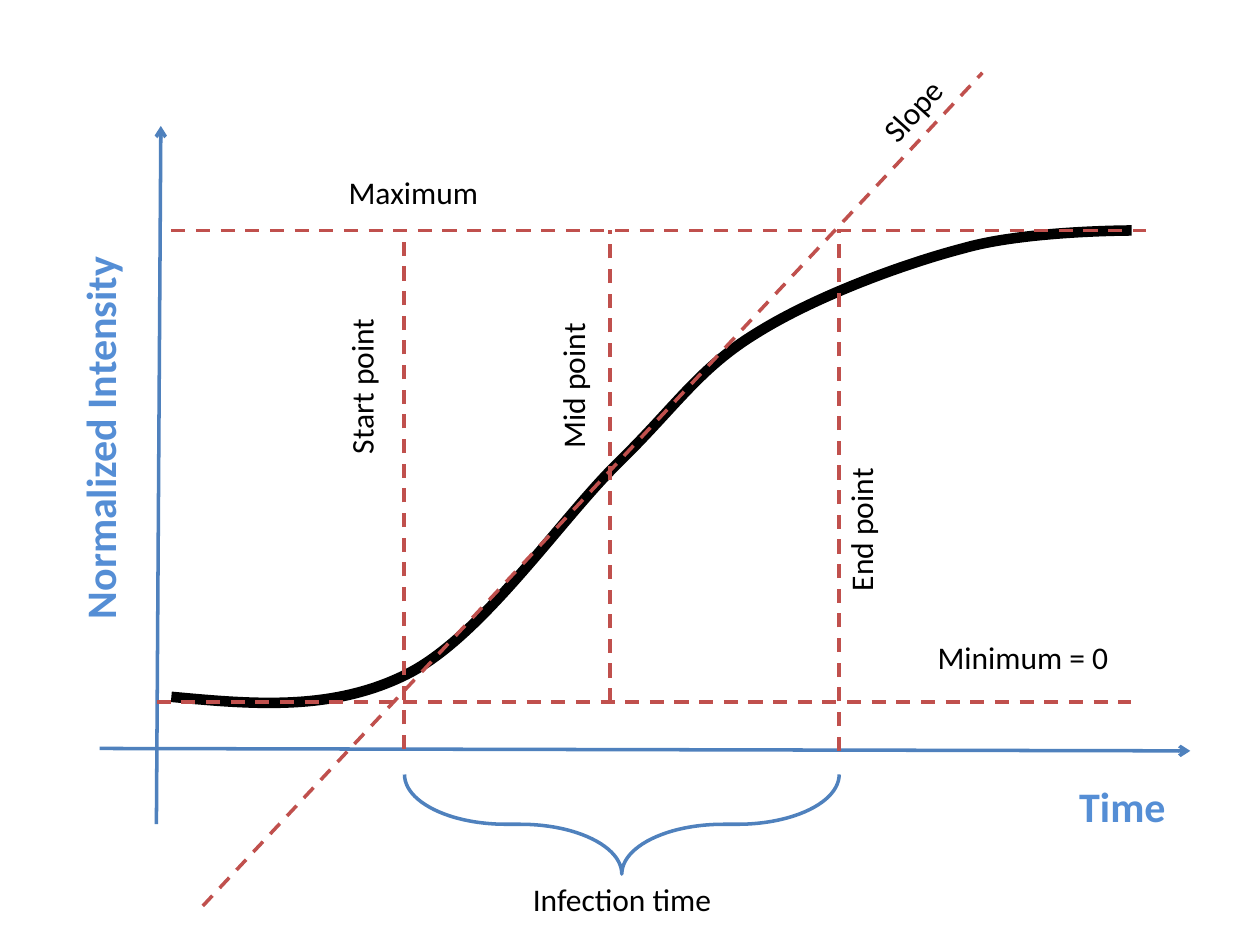
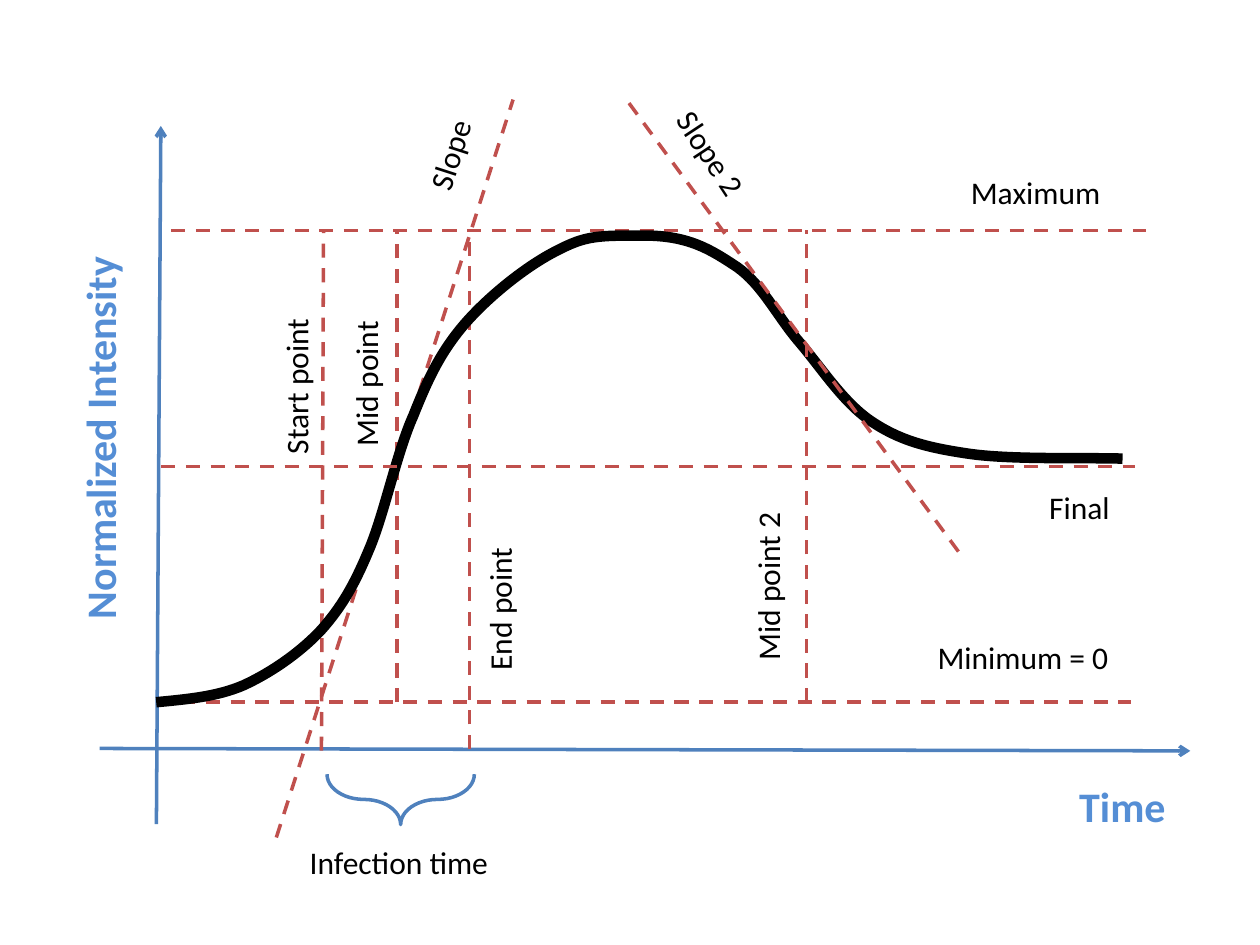
from dataclasses import dataclass

from lxml import etree
from pptx import Presentation
from pptx.dml.color import RGBColor
from pptx.enum.dml import MSO_LINE
from pptx.enum.shapes import MSO_CONNECTOR, MSO_SHAPE
from pptx.enum.text import MSO_AUTO_SIZE
from pptx.oxml.ns import qn
from pptx.shapes.shapetree import GroupShapes
from pptx.util import Pt

DASH = MSO_LINE.DASH
BRACE = MSO_SHAPE.LEFT_BRACE
STRAIGHT = MSO_CONNECTOR.STRAIGHT
GROW = MSO_AUTO_SIZE.SHAPE_TO_FIT_TEXT

INK = {"axis": "4F81BD", "guide": "C0504D", "name": "558ED5", "text": "000000"}
FONT = "Calibri"
BLANK = 6
TOP, BASE, AXIS = 131.7, 401.3, 428
UP = 270

Point = tuple[float, float]


@dataclass(frozen=True)
class Line:
    start: Point
    end: Point
    ink: str = "guide"
    arrow: bool = False


@dataclass(frozen=True)
class Label:
    text: str
    left: float
    top: float
    width: float
    turn: float = 0
    big: bool = False


@dataclass(frozen=True)
class Brace:
    left: float
    top: float
    width: float
    height: float


@dataclass(frozen=True)
class Curve:
    points: list[Point]
    height: float


Part = Line | Label | Brace | Curve


def rgb(key: str) -> RGBColor:
    return RGBColor.from_string(INK[key])


def draw_line(shapes: GroupShapes, line: Line) -> None:
    ends = [Pt(n) for n in line.start + line.end]
    item = shapes.add_connector(STRAIGHT, *ends)
    item.line.color.rgb = rgb(line.ink)
    item.line.width = Pt(2)
    if line.arrow:
        tail = etree.SubElement(item.line._get_or_add_ln(), qn("a:tailEnd"))
        tail.set("type", "arrow")
    else:
        item.line.dash_style = DASH
    etree.SubElement(item._element.spPr, qn("a:effectLst"))


def draw_label(shapes: GroupShapes, label: Label) -> None:
    height = 36.3 if label.big else 29.1
    box = shapes.add_textbox(Pt(label.left), Pt(label.top), Pt(label.width), Pt(height))
    box.rotation = label.turn
    frame = box.text_frame
    frame.word_wrap = False
    frame.auto_size = GROW
    run = frame.paragraphs[0].add_run()
    run.text = label.text
    run.font.name = FONT
    run.font.size = Pt(24 if label.big else 18)
    run.font.bold = label.big
    run.font.color.rgb = rgb("name" if label.big else "text")


def draw_brace(shapes: GroupShapes, brace: Brace) -> None:
    box = [Pt(n) for n in (brace.left, brace.top, brace.width, brace.height)]
    item = shapes.add_shape(BRACE, *box)
    item.adjustments[0] = 1.02
    item.adjustments[1] = 0.5
    item.rotation = UP
    item.shadow.inherit = False
    item.fill.background()
    item.line.color.rgb = rgb("axis")
    item.line.width = Pt(2)


def draw_curve(shapes: GroupShapes, curve: Curve) -> None:
    first, *rest = [(Pt(x), Pt(y)) for x, y in curve.points]
    pen = shapes.build_freeform(*first)
    pen.add_line_segments(rest, close=False)
    item = pen.convert_to_shape()
    item.height = Pt(curve.height)
    track = next(item._element.iter(qn("a:path")))
    track.set("h", str(Pt(curve.height)))
    legs = track.findall(qn("a:lnTo"))
    for i in range(0, len(legs), 3):
        bend = etree.SubElement(track, qn("a:cubicBezTo"))
        for leg in legs[i:i + 3]:
            bend.append(leg[0])
            track.remove(leg)
    item.shadow.inherit = False
    item.fill.background()
    item.line.color.rgb = rgb("text")
    item.line.width = Pt(6)


DRAW = {Line: draw_line, Label: draw_label, Brace: draw_brace, Curve: draw_curve}


def post(x: float, foot: float = BASE, head: float = TOP) -> Line:
    return Line((x, foot), (x, head))


AXES = [
    Line((89.4, 470.9), (91.9, 72), "axis", True),
    Line((56.9, 427.7), (680.2, 429.1), "axis", True),
]
BOUNDS = [
    Line((89.6, BASE), (646.4, BASE)),
    Line((97.9, TOP), (655, TOP)),
]
NAMES = [
    Label("Minimum = 0", 528.7, 361, 113),
    Label("Normalized Intensity", -55.4, 230.4, 224.6, UP, True),
    Label("Time", 609.6, 442.3, 64.1, big=True),
]

RISE = Curve([
    (97.9, 398.2), (144.7, 402.5), (190.8, 406.8), (234, 384.5),
    (276.5, 362.2), (320.4, 296.6), (353.5, 264.2),
    (386.6, 231.8), (399.6, 210.2), (432.7, 190.1),
    (465.1, 169.9), (514.8, 151.2), (550.8, 141.8),
    (586.1, TOP), (646.6, TOP), (646.6, TOP),
], 270)
PEAK = Curve([
    (89.3, 401.3), (106.6, 399.6), (123.8, 398.2), (139, 391.7),
    (154.8, 384.5), (171.4, 373), (183.6, 360),
    (195.1, 347), (202.3, 334.8), (211, 313.9),
    (219.6, 293.8), (226.8, 258.5), (236.2, 237.6),
    (244.8, 216), (252, 200.9), (265.7, 185),
    (279.4, 169.2), (301, 151.9), (318.2, 143.3),
    (334.8, 134.6), (341.3, 134.6), (367.9, 134.6),
    (393.8, 134.6), (406.1, 142.6), (421.2, 152.6),
    (435.6, 162.7), (444.2, 180.7), (456.5, 195.1),
    (469.4, 210.2), (481.7, 229.7), (497.5, 240.5),
    (513.4, 251.3), (528.5, 255.6), (553, 259.2),
    (576.7, 262.8), (617, 261.4), (641.5, 262.1),
], 267)

SINGLE: list[Part] = [
    *AXES, RISE, *BOUNDS,
    Line((115.9, 517.7), (561.4, 41.6)),
    post(348.5), post(479.5, AXIS + 1), post(230.9, AXIS, 134.6),
    Brace(326.9, 346.8, 56.9, 248.4),
    Label("Slope", 493.9, 48.2, 55.4, 312.1),
    Label("Maximum", 192.1, 95.3, 89.3),
    Label("Mid point", 283.8, 205.2, 87.1, UP),
    Label("Infection time", 297.4, 499.4, 118.1),
    Label("Start point", 159.7, 205.2, 93.6, UP),
    Label("End point", 449.1, 287.5, 85.7, UP),
    *NAMES,
]
DOUBLE: list[Part] = [
    *AXES, *BOUNDS,
    Line((157.9, 478.6), (293.2, 56.9)),
    post(226.8), post(268.4, AXIS),
    Line((183.7, AXIS + 1), (184.9, TOP)),
    Brace(214.6, 414.7, 28.8, 84.2),
    Label("Slope", 229.5, 73.4, 55.4, 287.9),
    Label("Maximum", 547.7, 95.3, 89.3),
    Label("Mid point", 165.6, 204, 87.1, UP),
    Label("Infection time", 169.9, 478.1, 118.1),
    Label("Start point", 122.4, 205.2, 93.6, UP),
    Label("End point", 242.6, 332.8, 85.7, UP),
    *NAMES, PEAK,
    Line((92.2, 266.6), (648.7, 266.6)),
    Line((547.7, 315.2), (357.8, 56.7)),
    post(460.8),
    Label("Final", 592.4, 275.3, 49.7),
    Label("Slope 2", 372.3, 73.4, 68.4, 56.6),
    Label("Mid point 2", 388.8, 319.9, 100.1, UP),
]

deck = Presentation()
deck.slide_width = Pt(720)
deck.slide_height = Pt(540)
for parts in (SINGLE, DOUBLE):
    slide = deck.slides.add_slide(deck.slide_layouts[BLANK])
    group = slide.shapes.add_group_shape()
    for part in parts:
        DRAW[type(part)](group.shapes, part)
deck.save("out.pptx")
